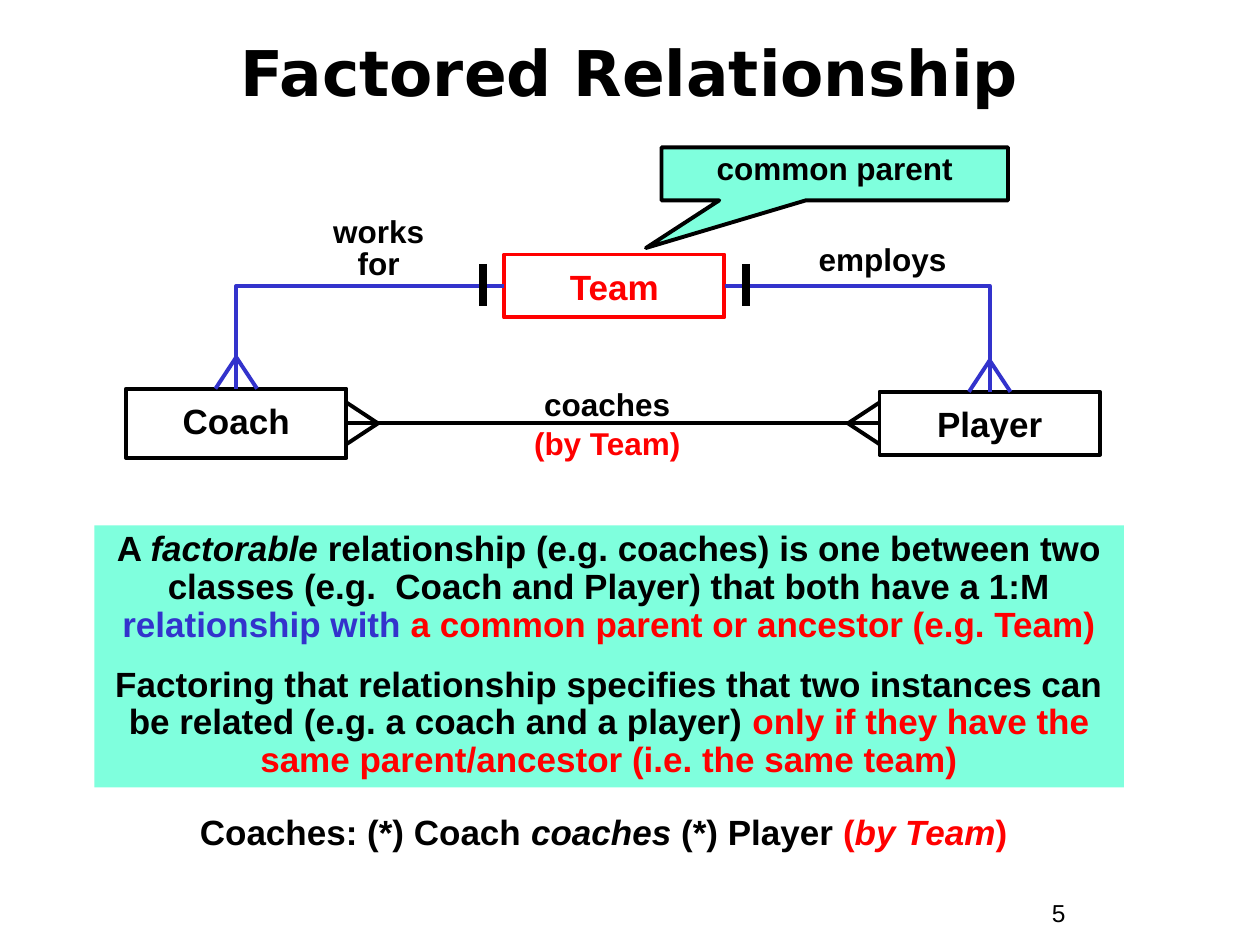
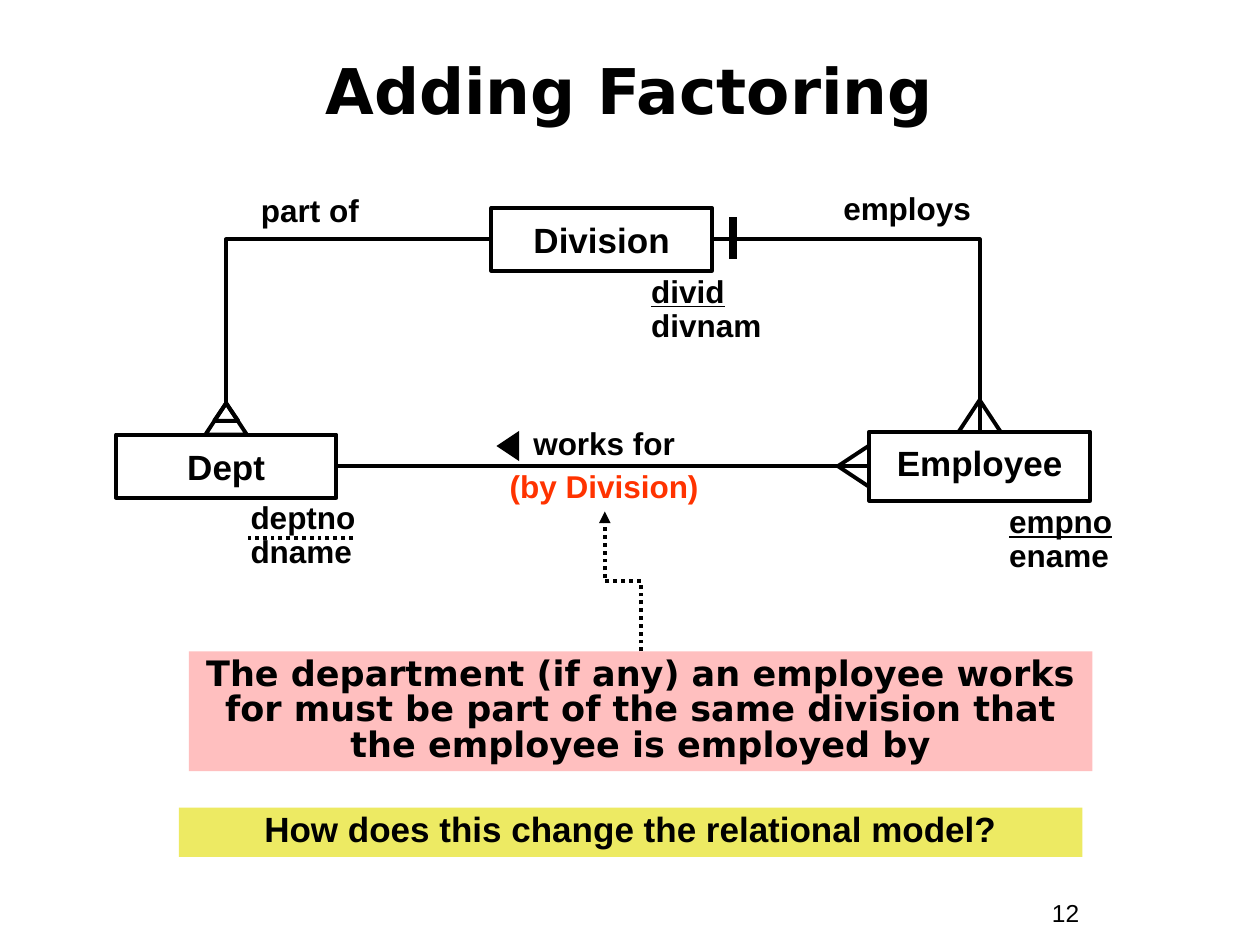
import pptx
import pptx.util
import pptx.dml.color
import pptx.enum.dml
import pptx.enum.shapes
import pptx.enum.text
import pptx.oxml
import pptx.oxml.ns

Inches = pptx.util.Inches
SHAPE = pptx.enum.shapes.MSO_SHAPE
LINK = pptx.enum.shapes.MSO_CONNECTOR
ALIGN = pptx.enum.text.PP_ALIGN
ANCHOR = pptx.enum.text.MSO_ANCHOR
DOTS = pptx.enum.dml.MSO_LINE.ROUND_DOT

# Shared look
BLACK, RED, BLUE, ORANGE = "000000", "FF0000", "3333CC", "FF3300"
MINT, PINK, YELLOW = "7FFFDD", "FFBFBF", "EDEA63"
SANS, HEAD = "Arial", "DejaVu Sans"
TOP, LEFT, BOTTOM, RIGHT = range(4)
BOX_W = 1.75
FOOT_LEN, FOOT_HALF = 0.25, 0.165
BREAK = ("\v",)

# Content: a run is (text, colour, marks), with marks i = italic, u = underline
TITLES = [("Factored Relationship", 0.15, 0.83, "5"),
          ("Adding Factoring", 0.25, 0.92, "12")]

# Class boxes: name -> (left, middle, height, colour)
TEAM_BOXES = {"Coach": (1, 3.36, 0.55, BLACK),
              "Team": (4, 2.27, 0.5, RED),
              "Player": (6.98, 3.36, 0.5, BLACK)}
FIRM_BOXES = {"Dept": (0.92, 3.7, 0.5, BLACK),
              "Division": (3.9, 1.9, 0.5, BLACK),
              "Employee": (6.9, 3.7, 0.55, BLACK)}

# Labels: (left, top, width, height, line spacing, runs)
TEAM_LABELS = [
    (2.17, 1.68, 1.67, 0.61, 0.85, [("works",), BREAK, ("for",)]),
    (6.17, 1.9, 1.67, 0.36, 0.85, [("employs",)]),
    (3.89, 2.99, 1.86, 0.73, 1.05, [("coaches",), BREAK, ("(by Team)", RED)]),
]
FIRM_LABELS = [
    (6.27, 1.5, 1.86, 0.36, 0.85, [("employs",)]),
    (1.53, 1.51, 1.86, 0.36, 0.85, [("part of",)]),
    (3.69, 3.27, 2.21, 0.79, 1.15,
     [("works for",), BREAK, ("(by Division)", ORANGE)]),
]

# Attributes: (left, top, key run, second run)
FIELDS = [(5.07, 2.14, ("divid", BLACK, "u"), ("divnam",)),
          (1.89, 3.94, ("deptno",), ("dname",)),
          (7.91, 3.97, ("empno", BLACK, "u"), ("ename",))]

RULES = [
    [("A ",), ("factorable", BLACK, "i"),
     (" relationship (e.g. coaches) is one between two classes "
      "(e.g.  Coach and Player) that both have a 1:M ",),
     ("relationship with ", BLUE),
     ("a common parent or ancestor (e.g. Team)", RED)],
    [("Factoring that relationship specifies that two instances can be "
      "related (e.g. a coach and a player) ",),
     ("only if they have the same parent/ancestor (i.e. the same team)", RED)],
]
FORMULA = [("Coaches: (*) Coach ",), ("coaches", BLACK, "i"), (" (*) Player ",),
           ("(", RED), ("by Team", RED, "i"), (")", RED)]
MEANING = ("The department (if any) an employee works for must be part of "
           "the same division that the employee is employed by")
QUESTION = "How does this change the relational model?"


def color(code):
    return pptx.dml.color.RGBColor.from_string(code)


def style(run, size, font=SANS, ink=BLACK, marks="", bold=True):
    face = run.font
    face.name, face.size, face.bold = font, pptx.util.Pt(size), bold
    face.italic, face.underline = "i" in marks, "u" in marks
    face.color.rgb = color(ink)


def write(shape, paras, size, spacing=1.0, font=SANS, align=ALIGN.CENTER,
          anchor=ANCHOR.TOP, bold=True, gap=0):
    frame = shape.text_frame
    frame.word_wrap = True
    frame.vertical_anchor = anchor
    for n, runs in enumerate(paras):
        para = frame.add_paragraph() if n else frame.paragraphs[0]
        para.alignment, para.line_spacing = align, spacing
        para.space_before = pptx.util.Pt(gap if n else 0)
        for text, *look in runs:
            if text == "\v":
                para.add_line_break()
                continue
            run = para.add_run()
            run.text = text
            style(run, size, font, *look, bold=bold)


def label(slide, left, top, width, height, paras, size, **kw):
    box = slide.shapes.add_textbox(*map(Inches, (left, top, width, height)))
    write(box, paras, size, **kw)
    return box


def shape(slide, kind, left, top, width, height, fill=None, edge=None):
    item = slide.shapes.add_shape(kind, *map(Inches, (left, top, width, height)))
    item.shadow.inherit = False
    if fill:
        item.fill.solid()
        item.fill.fore_color.rgb = color(fill)
    else:
        item.fill.background()
    if edge:
        item.line.color.rgb = color(edge)
        item.line.width = pptx.util.Pt(2.25)
    else:
        item.line.fill.background()
    return item


def line(slide, x1, y1, x2, y2, ink=BLACK, width=2.25, kind=LINK.STRAIGHT):
    item = slide.shapes.add_connector(kind, *map(Inches, (x1, y1, x2, y2)))
    item.line.color.rgb = color(ink)
    item.line.width = pptx.util.Pt(width)
    pptx.oxml.ns.qn("a:effectLst")
    item._element.spPr.append(
        item._element.makeelement(pptx.oxml.ns.qn("a:effectLst"), {}))
    return item


def join(slide, start, side1, end, side2, ink=BLACK, kind=LINK.STRAIGHT):
    item = line(slide, 0, 0, 1, 1, ink, kind=kind)
    item.begin_connect(start, side1)
    item.end_connect(end, side2)
    return item


def bend(slide, parent, side, child, ink):
    """Join a parent's side to a child's top with a single corner."""
    item = join(slide, parent, side, child, TOP, ink, LINK.ELBOW)
    item._element.spPr.prstGeom.set("prst", "bentConnector2")


def foot(slide, box, side, ink=BLACK):
    """Crow's foot spreading onto one side of a box."""
    x, y = box.left.inches, box.top.inches
    w, h = box.width.inches, box.height.inches
    for half in (-FOOT_HALF, FOOT_HALF):
        if side == TOP:
            mid = x + w / 2
            line(slide, mid, y - FOOT_LEN, mid + half, y, ink)
        else:
            edge, way = (x, -1) if side == LEFT else (x + w, 1)
            mid = y + h / 2
            line(slide, edge + way * FOOT_LEN, mid, edge, mid + half, ink)


def bar(slide, x, mid):
    line(slide, x, mid - FOOT_HALF, x, mid + FOOT_HALF, width=4.5)


def boxes(slide, specs):
    made = []
    for name, (left, mid, high, ink) in specs.items():
        box = shape(slide, SHAPE.RECTANGLE, left, mid - high / 2, BOX_W, high,
                    edge=ink)
        write(box, [[(name, ink)]], 20, anchor=ANCHOR.MIDDLE,
              spacing=0.85 if high > 0.5 else 1.0)
        made.append(box)
    return made


def labels(slide, specs):
    made = []
    for *place, spacing, runs in specs:
        made.append(label(slide, *place, [runs], 18, spacing=spacing))
    return made


def start(deck, text, top, height, number):
    """New slide with its title and page number."""
    slide = deck.slides.add_slide(deck.slide_layouts[5])
    title = slide.shapes.title
    title.left, title.top = Inches(0.33), Inches(top)
    title.width, title.height = Inches(9.33), Inches(height)
    write(title, [[(text,)]], 36, font=HEAD, anchor=ANCHOR.MIDDLE)
    label(slide, 8.25, 7.08, 0.92, 0.34, [[(number,)]], 14,
          align=ALIGN.LEFT, bold=False)
    return slide


def team(deck):
    slide = start(deck, *TITLES[0])
    coach, parent, player = boxes(slide, TEAM_BOXES)

    # Relationships
    bend(slide, parent, LEFT, coach, BLUE)
    bend(slide, parent, RIGHT, player, BLUE)
    join(slide, coach, RIGHT, player, LEFT)
    for box, side, ink in ((player, LEFT, BLACK), (coach, RIGHT, BLACK),
                           (player, TOP, BLUE), (coach, TOP, BLUE)):
        foot(slide, box, side, ink)
    for x in (3.83, 5.92):
        bar(slide, x, 2.26)
    labels(slide, TEAM_LABELS)

    # Explanation
    panel = shape(slide, SHAPE.RECTANGLE, 0.75, 4.17, 8.17, 2.08, MINT)
    write(panel, RULES, 20, spacing=0.9, gap=12.5)
    label(slide, 1.48, 6.42, 6.62, 0.4, [FORMULA], 20, spacing=0.9)
    note = shape(slide, SHAPE.RECTANGULAR_CALLOUT, 5.25, 1.17, 2.75, 0.42,
                 MINT, BLACK)
    note.adjustments[0], note.adjustments[1] = -0.545, 1.4
    write(note, [[("common parent",)]], 18, spacing=0.9)


def firm(deck):
    slide = start(deck, *TITLES[1])
    dept, parent, worker = boxes(slide, FIRM_BOXES)

    # Optional-many mark above Dept
    cone = shape(slide, SHAPE.ISOSCELES_TRIANGLE, 1.63, 3.2, 0.33, 0.25,
                 edge=BLACK)
    shape(slide, SHAPE.ISOSCELES_TRIANGLE, 1.7, 3.2, 0.19, 0.14, edge=BLACK)

    # Relationships
    bend(slide, parent, RIGHT, worker, BLACK)
    bend(slide, parent, LEFT, cone, BLACK)
    join(slide, worker, LEFT, dept, RIGHT)
    foot(slide, worker, LEFT)
    foot(slide, worker, TOP)
    bar(slide, 5.82, 1.89)
    link = labels(slide, FIRM_LABELS)[-1]
    arrow = shape(slide, SHAPE.ISOSCELES_TRIANGLE, 3.91, 3.45, 0.24, 0.18, BLACK)
    arrow.rotation = 270

    # Attributes
    for left, top, *rows in FIELDS:
        label(slide, left, top, 1.19, 0.64, [[row] for row in rows], 18,
              spacing=0.9, align=ALIGN.LEFT)
    line(slide, 2.8, 4.27, 1.97, 4.27).line.dash_style = DOTS

    # Explanation
    ask = shape(slide, SHAPE.RECTANGLE, 1.42, 6.41, 7.17, 0.39, YELLOW)
    write(ask, [[(QUESTION,)]], 20, spacing=0.85)
    panel = shape(slide, SHAPE.RECTANGLE, 1.5, 5.17, 7.17, 0.95, PINK)
    write(panel, [[(MEANING,)]], 20, spacing=0.85, font=HEAD)

    # Dotted pointer, turned so that it leaves upwards
    hint = join(slide, panel, TOP, link, BOTTOM, kind=LINK.ELBOW)
    hint.left, hint.top = Inches(4.39), Inches(4.47)
    hint.width, hint.height = Inches(1.11), Inches(0.29)
    frame = hint._element.spPr.xfrm
    for key, value in (("rot", "16200000"), ("flipH", "0"), ("flipV", "1")):
        frame.set(key, value)
    hint.line.dash_style = DOTS
    stroke = hint.line._get_or_add_ln()
    stroke.append(stroke.makeelement(pptx.oxml.ns.qn("a:tailEnd"),
                                     {"type": "triangle"}))


def main():
    deck = pptx.Presentation()
    deck.slide_width, deck.slide_height = Inches(10), Inches(7.5)
    team(deck)
    firm(deck)
    deck.save("out.pptx")


if __name__ == "__main__":
    main()
